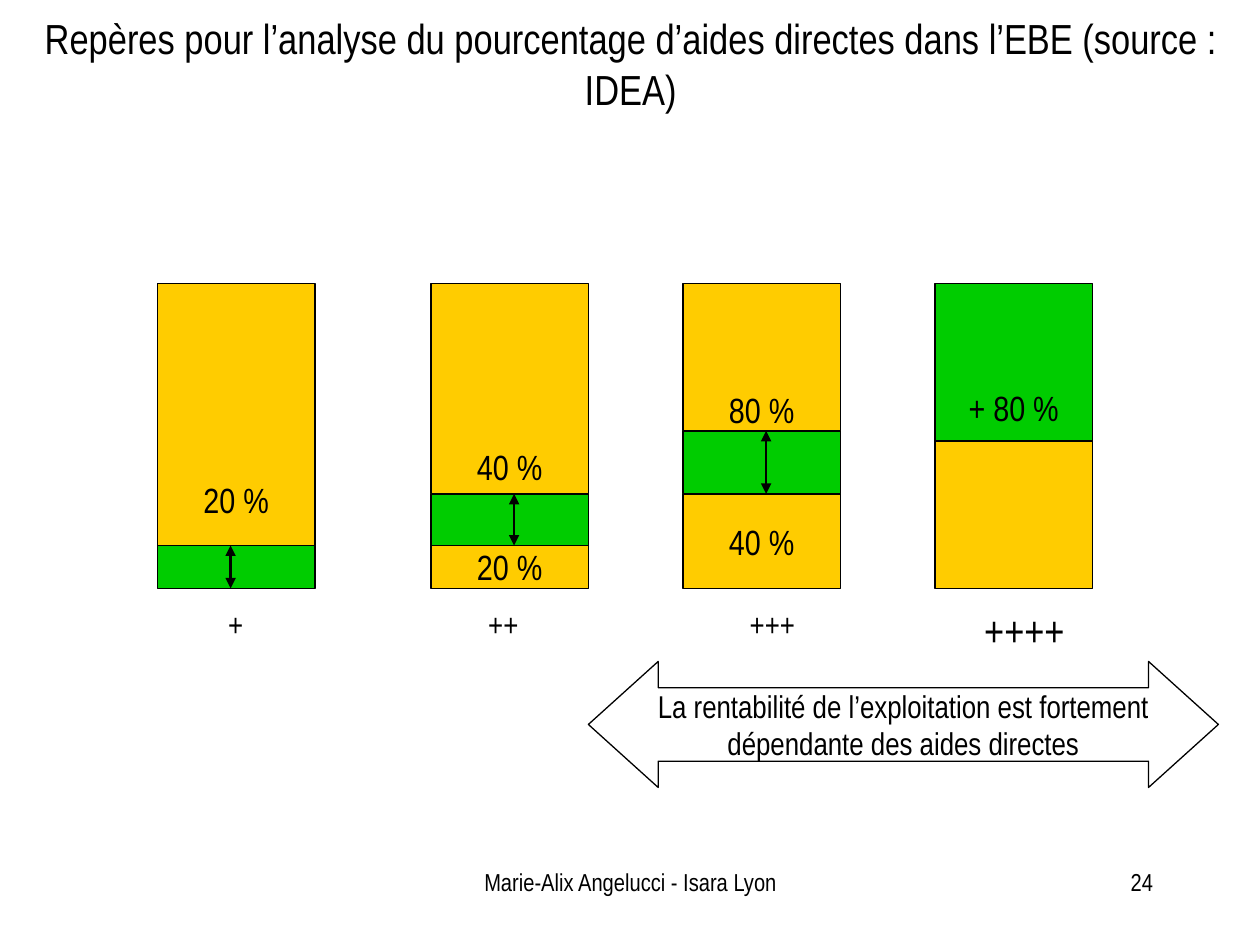
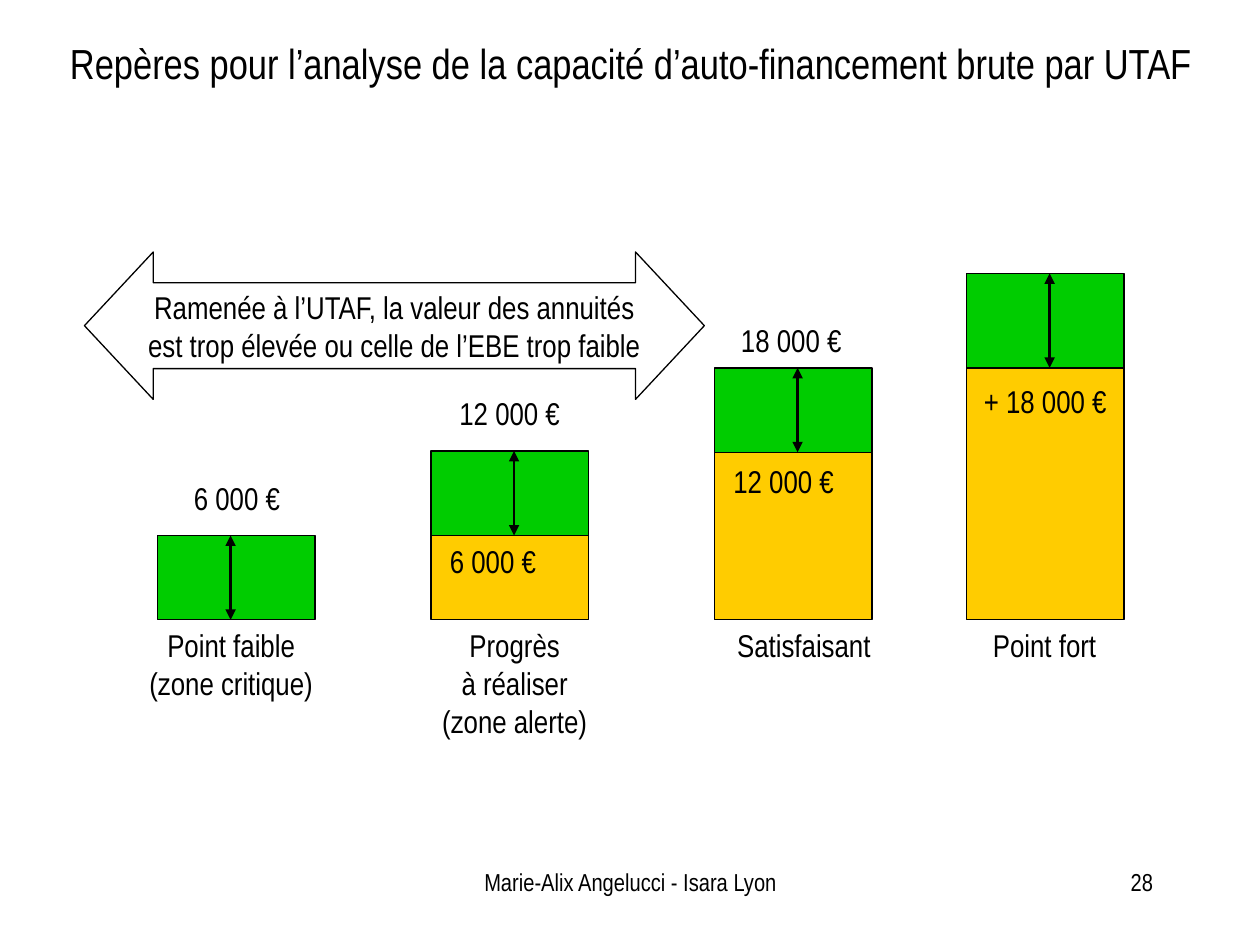
from dataclasses import dataclass

from lxml import etree
from pptx import Presentation
from pptx.dml.color import RGBColor
from pptx.enum.shapes import MSO_CONNECTOR, MSO_SHAPE
from pptx.enum.text import MSO_ANCHOR, MSO_AUTO_SIZE, PP_ALIGN
from pptx.oxml.ns import qn
from pptx.util import Inches, Pt

LEFT, CENTER, RIGHT = PP_ALIGN.LEFT, PP_ALIGN.CENTER, PP_ALIGN.RIGHT
TOP, MIDDLE, BOTTOM = MSO_ANCHOR.TOP, MSO_ANCHOR.MIDDLE, MSO_ANCHOR.BOTTOM
NO_AUTOFIT = MSO_AUTO_SIZE.NONE
RECTANGLE, DOUBLE_ARROW = MSO_SHAPE.RECTANGLE, MSO_SHAPE.LEFT_RIGHT_ARROW
STRAIGHT = MSO_CONNECTOR.STRAIGHT

FONT = "Arial Narrow"
BLACK, WHITE, GREEN, YELLOW = "000000", "FFFFFF", "00CC00", "FFCC00"
BAR_WIDTH = 1.25
FOOTER = "Marie-Alix Angelucci - Isara Lyon"


@dataclass
class Segment:
    color: str
    height: float
    label: str = ""
    anchor: object = MIDDLE
    gap: float = 0
    align: object = CENTER
    size: int = 20


@dataclass
class Label:
    dx: float
    dy: float
    width: float
    lines: list
    size: int = 18


def rgb(color):
    return RGBColor.from_string(color)


def inches(*lengths):
    return [Inches(length) for length in lengths]


def write(shape, lines, size, align=CENTER, anchor=TOP, margins=(0.1, 0.05, 0.1, 0.05)):
    tf = shape.text_frame
    tf.word_wrap = True
    tf.auto_size = NO_AUTOFIT
    tf.vertical_anchor = anchor
    tf.margin_left, tf.margin_top, tf.margin_right, tf.margin_bottom = inches(*margins)
    for i, line in enumerate(lines):
        p = tf.paragraphs[0] if i == 0 else tf.add_paragraph()
        p.alignment = align
        r = p.add_run()
        r.text = line
        r.font.name = FONT
        r.font.size = Pt(size)
        r.font.color.rgb = rgb(BLACK)


def add_text(s, x, y, w, h, lines, size, align=CENTER):
    write(s.shapes.add_textbox(*inches(x, y, w, h)), lines, size, align)


def add_outlined(s, kind, x, y, w, h, color):
    sp = s.shapes.add_shape(kind, *inches(x, y, w, h))
    sp.shadow.inherit = False
    sp.fill.solid()
    sp.fill.fore_color.rgb = rgb(color)
    sp.line.color.rgb = rgb(BLACK)
    sp.line.width = Pt(0.75)
    return sp


def add_span(s, x, top, bottom):
    c = s.shapes.add_connector(STRAIGHT, *inches(x, top, x, bottom))
    c.line.color.rgb = rgb(BLACK)
    c.line.width = Pt(1.5)
    ln = c.line._get_or_add_ln()
    for tag in ("a:headEnd", "a:tailEnd"):
        etree.SubElement(ln, qn(tag), type="triangle")
    etree.SubElement(c._element.spPr, qn("a:effectLst"))


def add_segment(s, x, y, segment):
    sp = add_outlined(s, RECTANGLE, x, y, BAR_WIDTH, segment.height, segment.color)
    if segment.label:
        side = 0.15 if segment.align == LEFT else 0.1
        top = segment.gap if segment.anchor == TOP else 0
        bottom = segment.gap if segment.anchor == BOTTOM else 0
        write(sp, [segment.label], segment.size, segment.align, segment.anchor,
              (side, top, 0.1, bottom))


def add_bar(s, x, base, segments, labels, span_dx=None):
    y = base
    for segment in segments:
        bottom, y = y, y - segment.height
        add_segment(s, x, y, segment)
        if segment.color == GREEN and span_dx:
            add_span(s, x + span_dx, y, bottom)
    for label in labels:
        height = 0.1 + len(label.lines) * label.size / 60
        add_text(s, x + label.dx, base + label.dy, label.width, height,
                 label.lines, label.size)


def add_message(s, x, y, w, h, adjustments, text):
    sp = add_outlined(s, DOUBLE_ARROW, x, y, w, h, WHITE)
    for i, value in enumerate(adjustments):
        sp.adjustments[i] = value
    write(sp, [text], 18, anchor=MIDDLE)


def add_base_slide(prs, title, title_top, title_height, number):
    s = prs.slides.add_slide(prs.slide_layouts[5])
    sp = s.shapes.title
    sp.left, sp.top, sp.width, sp.height = inches(0.17, title_top, 9.67, title_height)
    write(sp, [title], 24, anchor=MIDDLE)
    add_text(s, 3.42, 6.83, 3.17, 0.5, [FOOTER], 14)
    add_text(s, 7.17, 6.83, 2.08, 0.5, [number], 14, RIGHT)
    return s


def direct_aid_slide(prs):
    s = add_base_slide(prs, "Repères pour l’analyse du pourcentage d’aides directes "
                       "dans l’EBE (source : IDEA)", 0.05, 0.9, "24")
    bars = [
        (1.25, [Segment(GREEN, 0.34),
                Segment(YELLOW, 2.08, "20 %", BOTTOM, 0.2)],
         Label(-0.42, 0.08, 2.08, ["+"]), 0.58),
        (3.42, [Segment(YELLOW, 0.34, "20 %"), Segment(GREEN, 0.41),
                Segment(YELLOW, 1.67, "40 %", BOTTOM, 0.05)],
         Label(-0.34, 0.08, 1.83, ["++"]), 0.66),
        (5.42, [Segment(YELLOW, 0.75, "40 %"), Segment(GREEN, 0.5),
                Segment(YELLOW, 1.17, "80 %", BOTTOM)],
         Label(-0.25, 0.08, 1.92, ["+++"]), 0.66),
        (7.42, [Segment(YELLOW, 1.17),
                Segment(GREEN, 1.25, "+ 80 %", BOTTOM, 0.1)],
         Label(-0.25, 0.08, 1.92, ["++++"], 24), None),
    ]
    for x, segments, caption, span_dx in bars:
        add_bar(s, x, 4.67, segments, [caption], span_dx)
    add_message(s, 4.67, 5.25, 5, 1, (0.583, 0.554),
                "La rentabilité de l’exploitation est fortement dépendante "
                "des aides directes")


def self_financing_slide(prs):
    s = add_base_slide(prs, "Repères pour l’analyse de la capacité "
                       "d’auto-financement brute par UTAF", 0.25, 0.5, "28")
    bars = [
        (1.25, [Segment(GREEN, 0.67)],
         [Label(-0.58, 0, 2.33, ["Point faible", "(zone critique)"]),
          Label(-0.08, -1.17, 1.42, ["6 000 €"])], 0.58),
        (3.42, [Segment(YELLOW, 0.67, "6 000 €", TOP, 0.05, LEFT, 18),
                Segment(GREEN, 0.67)],
         [Label(-0.25, 0, 1.83, ["Progrès", "à réaliser", "(zone alerte)"]),
          Label(0, -1.84, 1.25, ["12 000 €"])], 0.66),
        (5.67, [Segment(YELLOW, 1.33, "12 000 €", TOP, 0.08, LEFT, 18),
                Segment(GREEN, 0.67)],
         [Label(-0.25, 0, 1.92, ["Satisfaisant"]),
          Label(-0.14, -2.42, 1.5, ["18 000 €"])], 0.66),
        (7.67, [Segment(YELLOW, 2, "+ 18 000 €", TOP, 0.11, CENTER, 18),
                Segment(GREEN, 0.75)],
         [Label(-0.17, 0, 1.58, ["Point fort"])], 0.66),
    ]
    for x, segments, labels, span_dx in bars:
        add_bar(s, x, 4.92, segments, labels, span_dx)
    add_message(s, 0.67, 2, 4.92, 1.17, (0.583, 0.467),
                "Ramenée à l’UTAF, la valeur des annuités est trop élevée "
                "ou celle de l’EBE trop faible")


def main():
    prs = Presentation()
    prs.slide_width, prs.slide_height = inches(10, 7.5)
    direct_aid_slide(prs)
    self_financing_slide(prs)
    prs.save("out.pptx")


if __name__ == "__main__":
    main()
